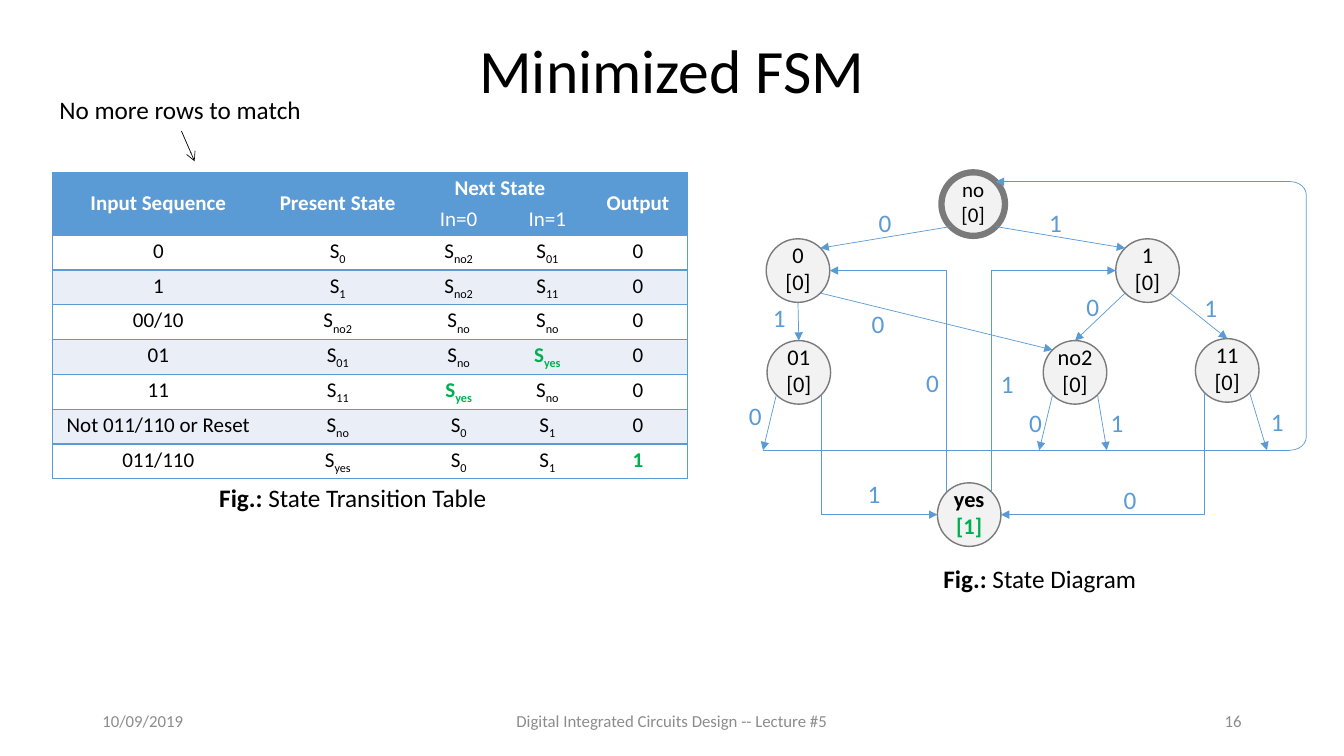
import math

from lxml import etree
from pptx import Presentation
from pptx import util as u
from pptx.dml.color import RGBColor
from pptx.enum import shapes, text
from pptx.oxml import ns

BLACK = RGBColor(0x00, 0x00, 0x00)
WHITE = RGBColor(0xFF, 0xFF, 0xFF)
GREY = RGBColor(0x8C, 0x8C, 0x8C)
BLUE = RGBColor(0x5B, 0x9B, 0xD5)
BAND = RGBColor(0xEA, 0xEF, 0xF7)
GREEN = RGBColor(0x00, 0xB0, 0x50)
STATE_FILL = RGBColor(0xF2, 0xF2, 0xF2)
STATE_LINE = RGBColor(0x7A, 0x7A, 0x7A)

LEFT, CENTER, RIGHT = text.PP_ALIGN.LEFT, text.PP_ALIGN.CENTER, text.PP_ALIGN.RIGHT
TOP, MIDDLE = text.MSO_ANCHOR.TOP, text.MSO_ANCHOR.MIDDLE
FIT = text.MSO_AUTO_SIZE.SHAPE_TO_FIT_TEXT
NO_GRID_STYLE = "{2D5ABB26-0587-4C30-8999-92F81FD0307C}"

DIAMETER = 45.4
SIDES = {"E": 0, "SE": 45, "S": 90, "SW": 135, "W": 180, "NW": 225, "N": 270, "NE": 315}
RAIL_Y, RAIL_LEFT, RAIL_RIGHT = 321.6, 545, 921.6

# Centre of each state circle
STATES = {
    "no": (695.2, 145.8), "0": (570, 193.3), "1": (819.7, 193.3),
    "01": (570.6, 266), "no2": (767.9, 266), "11": (876.6, 264.6),
    "yes": (692.3, 367.6),
}
# From state and side, to state and side, input bit, bit position
STRAIGHT = [
    ("no", "SW", "0", "NE", "0", (620.6, 144.7)),
    ("no", "SE", "1", "NW", "1", (742.3, 144.7)),
    ("0", "S", "01", "N", "1", (545, 212.4)),
    ("0", "SE", "no2", "NW", "0", (615.6, 216.7)),
    ("1", "SW", "no2", "N", "0", (769, 204.5)),
    ("1", "SE", "11", "N", "1", (853.2, 205.2)),
]
BENT = [
    ("01", "SE", "yes", "W", "1", (612.7, 338.4)),
    ("11", "SW", "yes", "E", "0", (795.6, 342.7)),
    ("yes", "NW", "0", "E", "0", (654.5, 258.5)),
    ("yes", "NE", "1", "W", "1", (707.8, 259.2)),
]
# From state and side, x on the rail, input bit, bit position
TO_RAIL = [
    ("01", "SW", 545, "0", (527.8, 282.2)),
    ("no2", "SW", 742.3, "0", (728, 287.3)),
    ("no2", "SE", 790.6, "1", (786.2, 287.3)),
    ("11", "SE", 905, "1", (900.7, 286.6)),
]
COLUMNS = (151.2, 105.1, 67.7, 59, 70.6)
HEADER = [("Input Sequence", "Present State", "Next State", "", "Output"),
          ("", "", "In=0", "In=1", "")]
# Input sequence, present state, next state for 0 and for 1, output
TRANSITIONS = [
    ("0", "0", "no2", "01", "0"),
    ("1", "1", "no2", "11", "0"),
    ("00/10", "no2", "no", "no", "0"),
    ("01", "01", "no", "yes", "0"),
    ("11", "11", "yes", "no", "0"),
    ("Not 011/110 or Reset", "no", "0", "1", "0"),
    ("011/110", "yes", "0", "1", "1"),
]


def side(state, name):
    """Return the point on a state's circle at a compass side."""
    x, y = STATES[state]
    a = math.radians(SIDES[name])
    return x + DIAMETER / 2 * math.cos(a), y + DIAMETER / 2 * math.sin(a)


class Deck:
    """Holds the style and the current slide."""

    font = "Calibri"

    def __init__(self, prs):
        """Start a title-only slide."""
        self.s = prs.slides.add_slide(prs.slide_layouts[5])

    def run(self, p, content, size, color=BLACK, bold=False, sub=False):
        """Add one run to a paragraph."""
        r = p.add_run()
        r.text = content
        r.font.name, r.font.size, r.font.bold = self.font, u.Pt(size), bold
        r.font.color.rgb = color
        if sub:
            r._r.get_or_add_rPr().set("baseline", "-25000")

    def title(self, content, *box):
        """Place and fill the title placeholder."""
        sp = self.s.shapes.title
        sp.left, sp.top, sp.width, sp.height = map(u.Pt, box)
        sp.text_frame.vertical_anchor = MIDDLE
        p = sp.text_frame.paragraphs[0]
        p.alignment, p.line_spacing = CENTER, 0.9
        self.run(p, content, 44)

    def textbox(self, runs, box, size=18, color=BLACK, align=LEFT, anchor=TOP, wrap=False):
        """Add a one-line text box from (text, bold) runs."""
        tf = self.s.shapes.add_textbox(*map(u.Pt, box)).text_frame
        tf.word_wrap, tf.vertical_anchor = wrap, anchor
        if not wrap:
            tf.auto_size = FIT
        tf.paragraphs[0].alignment = align
        for content, bold in runs:
            self.run(tf.paragraphs[0], content, size, color, bold)
        return tf

    def bit(self, value, at):
        """Label an edge with its input bit."""
        tf = self.textbox([(value, False)], (*at, 16.6, 20.2), color=BLUE)
        tf.margin_right = tf.margin_bottom = 0

    def state(self, name, size=16, weight=1.0):
        """Draw a state circle with its name and output."""
        x, y = STATES[name]
        sp = self.s.shapes.add_shape(
            shapes.MSO_SHAPE.OVAL, u.Pt(x - DIAMETER / 2), u.Pt(y - DIAMETER / 2),
            u.Pt(DIAMETER), u.Pt(DIAMETER))
        sp.shadow.inherit = False
        sp.fill.solid()
        sp.fill.fore_color.rgb = STATE_FILL
        sp.line.color.rgb, sp.line.width = STATE_LINE, u.Pt(weight)
        tf = sp.text_frame
        tf.word_wrap, tf.vertical_anchor = True, MIDDLE
        tf.margin_left = tf.margin_right = tf.margin_top = 0
        tf.margin_bottom = u.Pt(3.6)
        final = name == "yes"
        lines = [(name, BLACK), ("[1]", GREEN) if final else ("[0]", BLACK)]
        for i, (content, color) in enumerate(lines):
            p = tf.add_paragraph() if i else tf.paragraphs[0]
            p.alignment = CENTER
            self.run(p, content, size, color, final)

    def line(self, start, end, color=BLUE, head="triangle", kind=shapes.MSO_CONNECTOR.STRAIGHT):
        """Draw a thin connector, with an arrowhead unless head is None."""
        c = self.s.shapes.add_connector(kind, *map(u.Pt, (*start, *end)))
        c.line.color.rgb, c.line.width = color, u.Pt(0.5)
        spPr = c._element.spPr
        if head:
            etree.SubElement(spPr.find(ns.qn("a:ln")), ns.qn("a:tailEnd"), type=head)
        etree.SubElement(spPr, ns.qn("a:effectLst"))
        return c

    def bent(self, start, end):
        """Draw an arrow that runs vertically, then horizontally."""
        (x1, y1), (x2, y2) = start, end
        dx, dy = x2 - x1, y2 - y1
        cx, cy = (x1 + x2) / 2, (y1 + y2) / 2
        # The unrotated frame swaps width and height about the same centre
        w = -abs(dy) if dx > 0 else abs(dy)
        h = -abs(dx) if dy < 0 else abs(dx)
        c = self.line((cx - w / 2, cy - h / 2), (cx + w / 2, cy + h / 2),
                      kind=shapes.MSO_CONNECTOR.ELBOW)
        spPr = c._element.spPr
        spPr.find(ns.qn("a:xfrm")).set("rot", "5400000" if dx * dy < 0 else "16200000")
        spPr.find(ns.qn("a:prstGeom")).set("prst", "bentConnector2")

    def bracket(self, *box):
        """Draw the rounded right end of the return line."""
        sp = self.s.shapes.add_shape(shapes.MSO_SHAPE.RIGHT_BRACKET, *map(u.Pt, box))
        sp.shadow.inherit = False
        sp.adjustments[0] = 0.83
        sp.fill.background()
        sp.line.color.rgb, sp.line.width = BLUE, u.Pt(0.5)

    def cell(self, cell, fill, edges, anchor=TOP):
        """Format a table cell and return its centred paragraph."""
        cell.margin_left = cell.margin_right = u.Pt(1.4)
        cell.margin_top = cell.margin_bottom = u.Pt(2.2)
        cell.vertical_anchor = anchor
        for edge in edges:
            ln = etree.SubElement(cell._tc.get_or_add_tcPr(), ns.qn("a:ln" + edge), w="12700")
            paint = etree.SubElement(ln, ns.qn("a:solidFill"))
            etree.SubElement(paint, ns.qn("a:srgbClr"), val=str(BLUE))
        cell.fill.solid()
        cell.fill.fore_color.rgb = fill
        p = cell.text_frame.paragraphs[0]
        p.alignment = CENTER
        return p

    def table(self, left, top, row_height):
        """Build the state transition table."""
        rows, last = HEADER + TRANSITIONS, len(COLUMNS) - 1
        tbl = self.s.shapes.add_table(
            len(rows), len(COLUMNS), u.Pt(left), u.Pt(top),
            u.Pt(sum(COLUMNS)), u.Pt(row_height * len(rows))).table
        tbl._tbl.tblPr.find(ns.qn("a:tableStyleId")).text = NO_GRID_STYLE
        for column, width in zip(tbl.columns, COLUMNS):
            column.width = u.Pt(width)
        for i, row in enumerate(rows):
            tbl.rows[i].height = u.Pt(row_height)
            for j, value in enumerate(row):
                edges = "L" * (j == 0) + "R" * (j == last) + "TB"
                if i < len(HEADER):
                    p = self.cell(tbl.cell(i, j), BLUE, edges, MIDDLE)
                    if value:
                        self.run(p, value, 15, WHITE, bold=i == 0)
                    continue
                p = self.cell(tbl.cell(i, j), BAND if i % 2 else WHITE, edges)
                hit = (value == "yes" and j > 1) or (value == "1" and j == last)
                look = (15, GREEN if hit else BLACK, hit)
                if 0 < j < last:
                    self.run(p, "S", *look)
                self.run(p, value, *look, sub=0 < j < last)
        for j in (0, 1, last):
            tbl.cell(0, j).merge(tbl.cell(1, j))
        tbl.cell(0, 2).merge(tbl.cell(0, 3))


prs = Presentation()
prs.slide_width, prs.slide_height = u.Pt(960), u.Pt(540)
d = Deck(prs)
d.title("Minimized FSM", 66, 24, 828, 57)
for content, x, width, align in [
        ("10/09/2019", 66, 216, LEFT),
        ("Digital Integrated Circuits Design -- Lecture #5", 318, 324, CENTER),
        ("16", 678, 216, RIGHT)]:
    d.textbox([(content, False)], (x, 500.5, width, 28.8), 12, GREY, align, MIDDLE, True)

d.table(37.5, 123.2, 22.2)
for caption, box in [("State Transition Table", (148.3, 341.3, 207.4, 29)),
                     ("State Diagram", (666, 398.9, 153.4, 29))]:
    d.textbox([("Fig.: ", True), (caption, False)], box, align=CENTER)
d.textbox([("No more rows to match", False)], (35.3, 64.1, 188.6, 29))
d.line((129.6, 93.6), (139, 115.2), BLACK, "arrow")

for name in STATES:
    d.state(name, *((15, 4.5) if name == "no" else ()))
for edges, draw in ((STRAIGHT, d.line), (BENT, d.bent)):
    for a, a_side, b, b_side, value, at in edges:
        draw(side(a, a_side), side(b, b_side))
        d.bit(value, at)
for a, a_side, x, value, at in TO_RAIL:
    d.line(side(a, a_side), (x, RAIL_Y))
    d.bit(value, at)

reset = side("no", "NE")
d.line((RAIL_LEFT, RAIL_Y), (RAIL_RIGHT, RAIL_Y), head=None)
d.bracket(RAIL_RIGHT, reset[1], 11.5, RAIL_Y - reset[1])
d.line((RAIL_RIGHT, reset[1]), reset)
prs.save("out.pptx")
